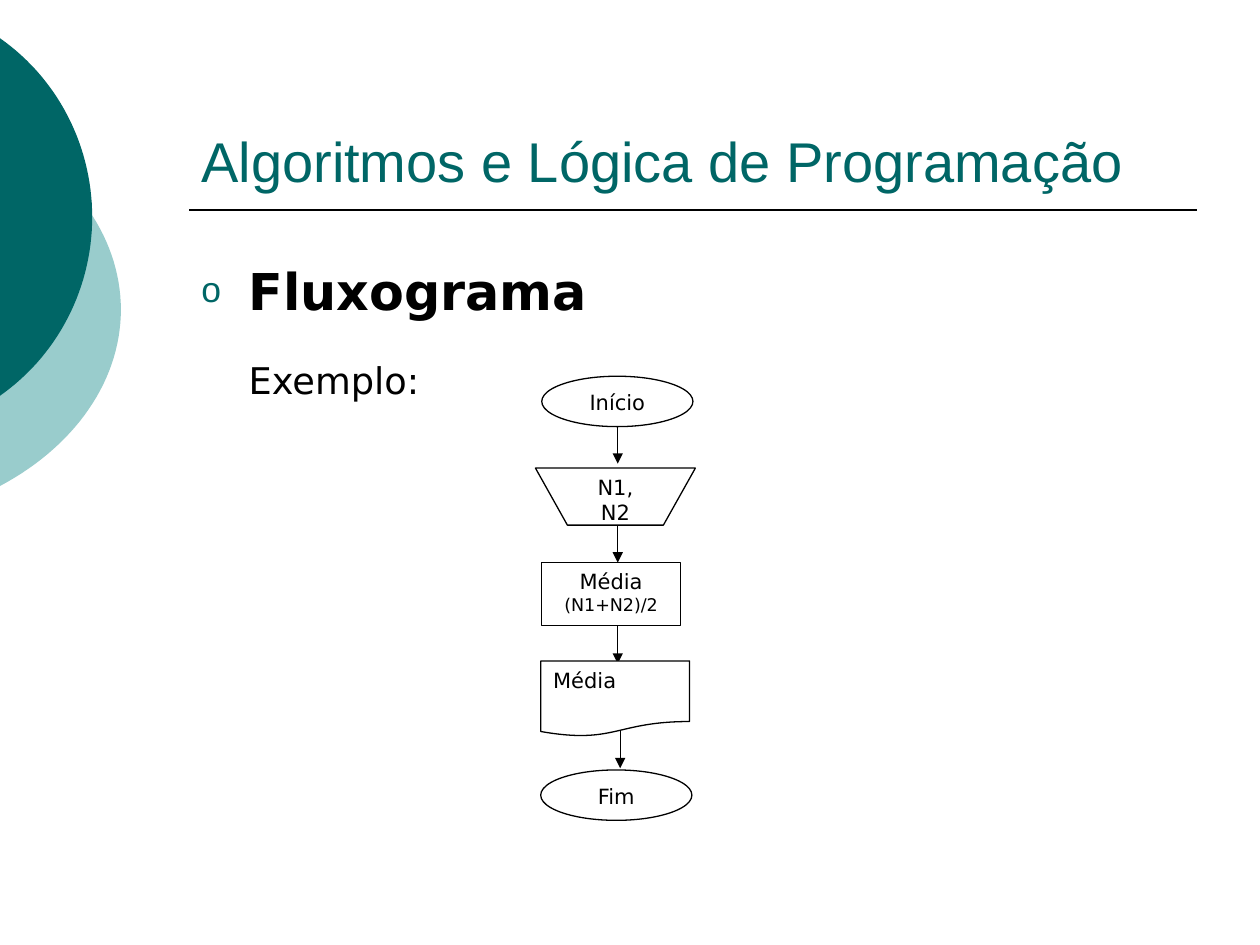
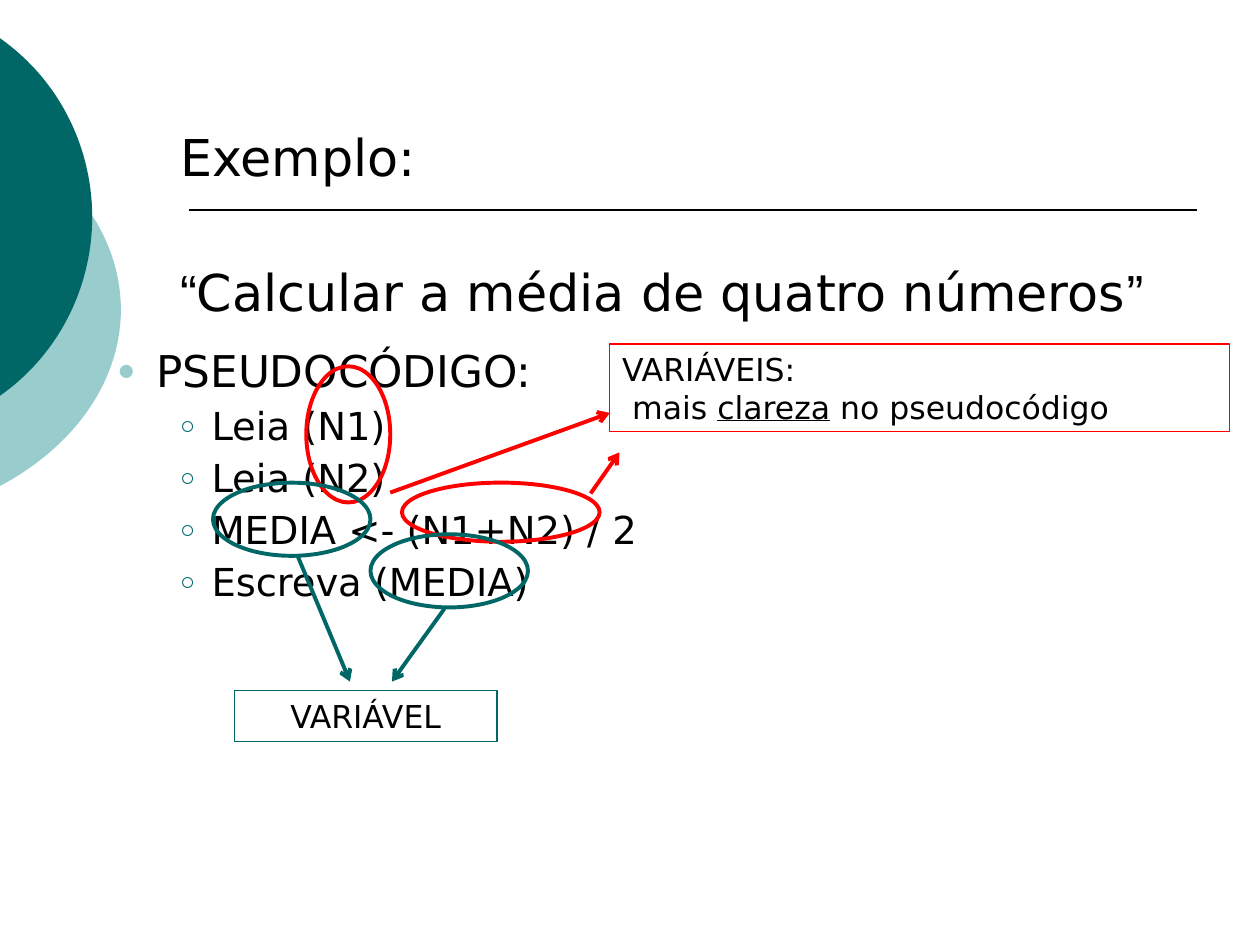
import math

import pptx
import pptx.dml.color
import pptx.enum.shapes
import pptx.enum.text
import pptx.oxml
import pptx.oxml.ns
import pptx.util

Pt = pptx.util.Pt
SHAPE = pptx.enum.shapes.MSO_SHAPE
ALIGN = pptx.enum.text.PP_ALIGN
ANCHOR = pptx.enum.text.MSO_ANCHOR

TEAL = "006666"
PALE_TEAL = "99CCCC"
RED = "FF0000"
BLACK = "000000"
WHITE = "FFFFFF"
TITLE_FONT = "Arial"
BODY_FONT = "DejaVu Sans"


def rgb(value):
    return pptx.dml.color.RGBColor.from_string(value)


def add_xml(parent, tag, **attributes):
    child = pptx.oxml.parse_xml(f"<a:{tag} {pptx.oxml.ns.nsdecls('a')}/>")
    for name, value in attributes.items():
        child.set(name, str(value))
    parent.append(child)
    return child


def add_bullet(p, char, color, percent):
    pPr = p._p.get_or_add_pPr()
    add_xml(add_xml(pPr, "buClr"), "srgbClr", val=color)
    add_xml(pPr, "buSzPct", val=percent * 1000)
    add_xml(pPr, "buFont", typeface=TITLE_FONT)
    add_xml(pPr, "buChar", char=char)


def add_paragraph(tf, text, size, font=BODY_FONT, color=BLACK, bold=False,
                  align=ALIGN.LEFT, before=0, spacing=None, margin=0, hang=0,
                  bullet=None):
    p = tf.paragraphs[0]
    if p.runs:
        p = tf.add_paragraph()
    pPr = p._p.get_or_add_pPr()
    pPr.set("marL", str(Pt(margin)))
    pPr.set("indent", str(Pt(-hang)))
    if bullet:
        add_bullet(p, *bullet)
    p.alignment = align
    p.space_before = Pt(before)
    if spacing:
        p.line_spacing = spacing
    p.font.name = font
    p.font.size = Pt(size)
    p.font.bold = bold
    p.font.color.rgb = rgb(color)
    for part in [text] if isinstance(text, str) else text:
        p.add_run().text = part
    return p


def add_text_box(slide, left, top, width, height, anchor=ANCHOR.TOP):
    box = slide.shapes.add_textbox(Pt(left), Pt(top), Pt(width), Pt(height))
    tf = box.text_frame
    tf.word_wrap = True
    tf.vertical_anchor = anchor
    return tf


def add_outline(slide, kind, left, top, width, height, color=BLACK,
                weight=0.75, fill=None):
    sp = slide.shapes.add_shape(kind, Pt(left), Pt(top), Pt(width), Pt(height))
    sp.shadow.inherit = False
    if fill:
        sp.fill.solid()
        sp.fill.fore_color.rgb = rgb(fill)
    else:
        sp.fill.background()
    sp.line.color.rgb = rgb(color)
    sp.line.width = Pt(weight)
    tf = sp.text_frame
    tf.word_wrap = True
    tf.vertical_anchor = ANCHOR.TOP
    return tf


def add_line(slide, x1, y1, x2, y2, color=BLACK, weight=0.75, head=None):
    line = slide.shapes.add_connector(
        pptx.enum.shapes.MSO_CONNECTOR.STRAIGHT, Pt(x1), Pt(y1), Pt(x2), Pt(y2))
    line.line.color.rgb = rgb(color)
    line.line.width = Pt(weight)
    if head:
        add_xml(line.line._get_or_add_ln(), "tailEnd", type=head)
    add_xml(line._element.spPr, "effectLst")


def add_edge_disc(slide, cx, cy, rx, ry, color, steps=60):
    limit = math.acos(-cx / rx)
    angles = [limit * (2 * i / steps - 1) for i in range(steps + 1)]
    points = [(Pt(cx + rx * math.cos(a)), Pt(cy + ry * math.sin(a)))
              for a in angles]
    builder = slide.shapes.build_freeform(*points[0])
    builder.add_line_segments(points[1:], close=True)
    sp = builder.convert_to_shape()
    sp.shadow.inherit = False
    sp.fill.solid()
    sp.fill.fore_color.rgb = rgb(color)
    sp.line.fill.background()


def add_base_slide(prs):
    slide = prs.slides.add_slide(prs.slide_layouts[6])
    add_edge_disc(slide, -92.9, 177, 162, 123, PALE_TEAL)
    add_edge_disc(slide, -69, 124, 121.7, 124, TEAL)
    add_line(slide, 108, 120, 684, 120, weight=1)
    return slide


def build_flowchart_slide(prs):
    slide = add_base_slide(prs)
    tf = add_text_box(slide, 108, 24, 576, 90, ANCHOR.BOTTOM)
    add_paragraph(tf, "Algoritmos e Lógica de Programação", 32, TITLE_FONT, TEAL)
    tf = add_text_box(slide, 108, 145, 576, 358)
    add_paragraph(tf, "Fluxograma", 29, bold=True, margin=27, hang=27,
                  bullet=("o", TEAL, 70))
    add_paragraph(tf, "Exemplo:", 21, before=21, margin=27)

    for x, top, bottom in [(353, 243.5, 265), (353, 299.8, 321.5),
                           (353, 357.5, 379.3), (354.4, 417.3, 439)]:
        add_line(slide, x, top, x, bottom, head="triangle")

    steps = [
        (SHAPE.OVAL, 309.6, 215, 86.4, 28.8, ALIGN.CENTER, [("Início", 12)]),
        (SHAPE.FLOWCHART_MANUAL_OPERATION, 306, 267.5, 91.4, 32.6,
         ALIGN.CENTER, [("N1, N2", 12)]),
        (SHAPE.RECTANGLE, 309.6, 321.5, 79.2, 36, ALIGN.CENTER,
         [("Média", 12), ("(N1+N2)/2", 10)]),
        (SHAPE.FLOWCHART_DOCUMENT, 309, 377.7, 85, 43.2, ALIGN.LEFT,
         [("Média", 12)]),
        (SHAPE.OVAL, 309, 440, 86.4, 28.8, ALIGN.CENTER, [("Fim", 12)]),
    ]
    for kind, left, top, width, height, align, lines in steps:
        tf = add_outline(slide, kind, left, top, width, height, fill=WHITE)
        for text, size in lines:
            add_paragraph(tf, text, size, align=align)


def build_pseudocode_slide(prs):
    slide = add_base_slide(prs)
    tf = add_text_box(slide, 23.8, 68.5, 678, 447)
    add_paragraph(tf, "Exemplo:", 29, margin=72)
    p = add_paragraph(tf, ["“", "Calcular a média de quatro números", "”"], 29,
                      before=42, margin=72)
    for quote in p.runs[::2]:
        quote.font.name = TITLE_FONT
    add_paragraph(tf, "PSEUDOCÓDIGO:", 25, before=7, spacing=1.2, margin=58.5,
                  hang=22.5, bullet=("●", PALE_TEAL, 70))
    for text in ["Leia (N1)", "Leia (N2)", "MEDIA <- (N1+N2) / 2",
                 "Escreva (MEDIA)"]:
        add_paragraph(tf, text, 22, before=6, spacing=0.9, margin=90, hang=18,
                      bullet=("○", TEAL, 65))

    for left, top, width, height, color in [
            (175, 209.3, 48, 77.8, RED), (229.7, 275.8, 113, 33.8, RED),
            (121.7, 275.8, 90, 41.8, TEAL), (211.7, 305.3, 90, 41.8, TEAL)]:
        add_outline(slide, SHAPE.OVAL, left, top, width, height, color, 2.25)

    tf = add_outline(slide, SHAPE.RECTANGLE, 348.5, 196.5, 354, 50.2, RED)
    add_paragraph(tf, "VARIÁVEIS:", 18)
    p = add_paragraph(tf, ["mais ", "clareza", " no pseudocódigo"], 18,
                      margin=5.7)
    p.runs[1].font.underline = True
    tf = add_outline(slide, SHAPE.RECTANGLE, 134, 394.6, 150, 29, TEAL)
    add_paragraph(tf, "VARIÁVEL", 18, align=ALIGN.CENTER)

    for x1, y1, x2, y2, color in [
            (223, 281.5, 348.5, 236, RED), (337.5, 282, 354, 258.5, RED),
            (254, 347.8, 224, 389.5, TEAL), (170, 317.5, 200, 389.5, TEAL)]:
        add_line(slide, x1, y1, x2, y2, color, 2.25, "arrow")


def main():
    prs = pptx.Presentation()
    prs.slide_width = Pt(720)
    prs.slide_height = Pt(540)
    build_flowchart_slide(prs)
    build_pseudocode_slide(prs)
    prs.save("out.pptx")


if __name__ == "__main__":
    main()
